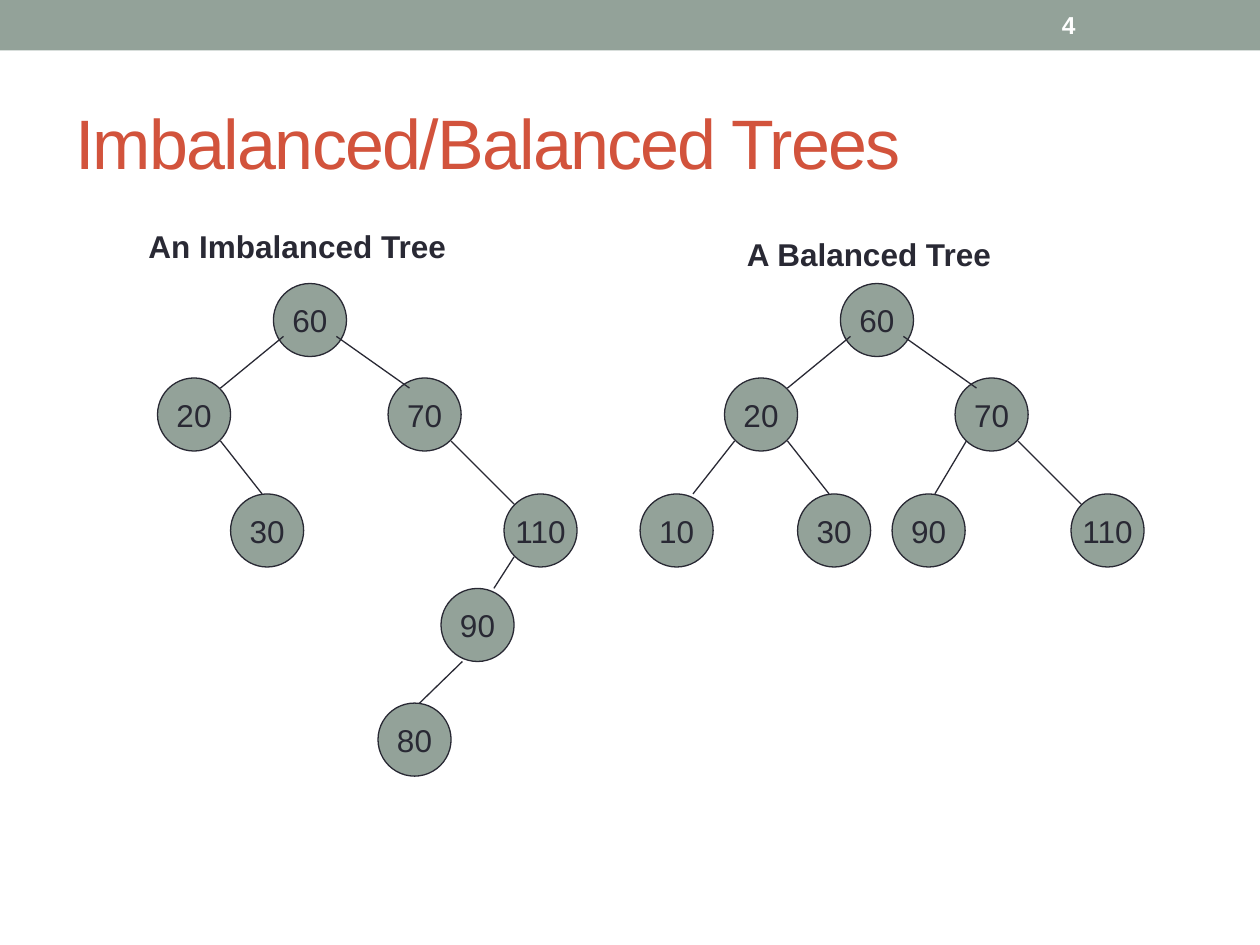
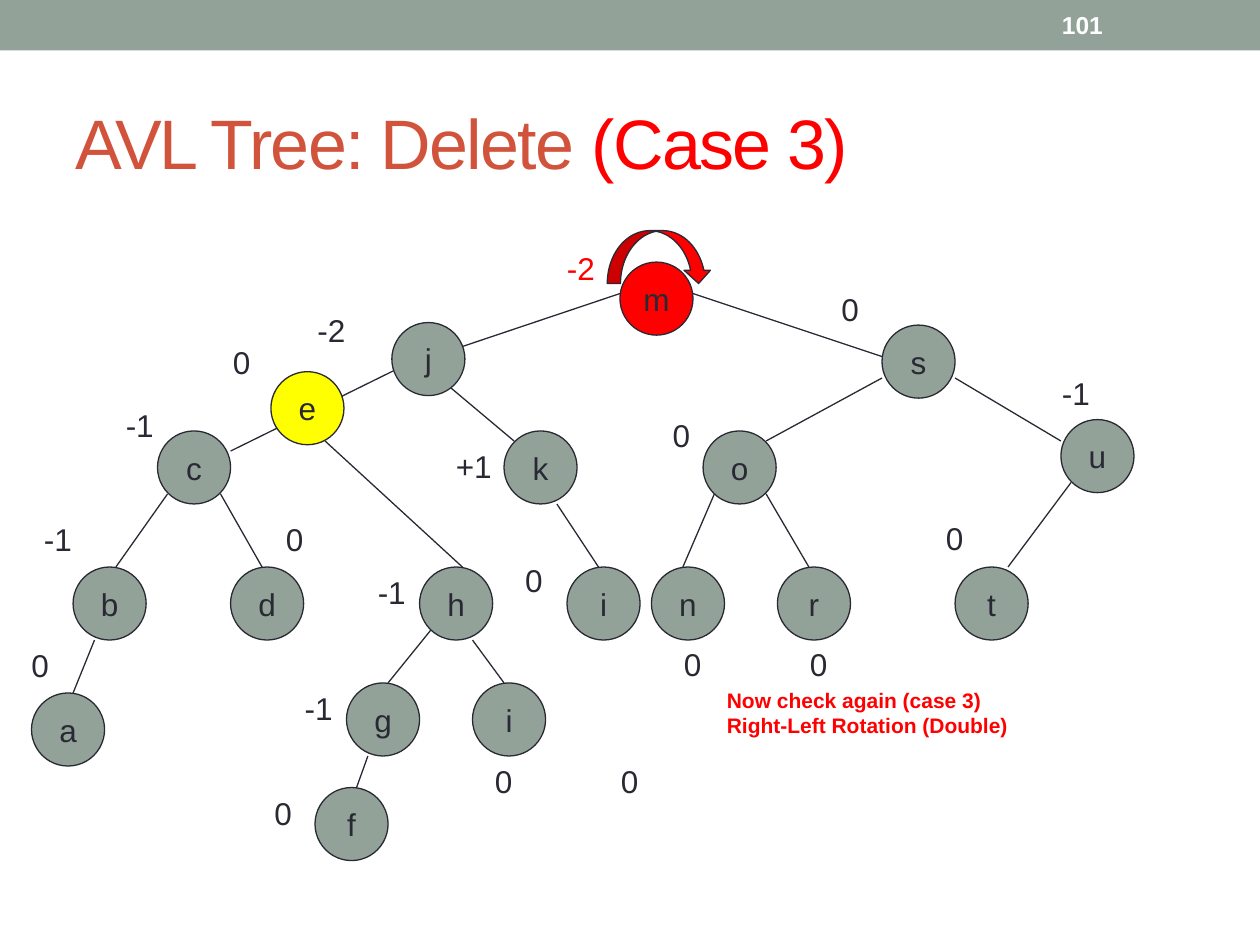
from dataclasses import dataclass

from lxml.etree import SubElement
from pptx import Presentation
from pptx.dml.color import RGBColor
from pptx.enum.shapes import MSO_CONNECTOR as Line, MSO_SHAPE as Shape
from pptx.enum.text import MSO_ANCHOR as Anchor, PP_ALIGN as Align
from pptx.oxml.ns import qn
from pptx.util import Inches, Pt


@dataclass(frozen=True)
class Theme:
    font: str = "Arial"
    sage: str = "93A299"
    ink: str = "292934"
    rust: str = "D2533C"
    white: str = "FFFFFF"
    red: str = "FF0000"
    yellow: str = "FFFF00"
    title_size: int = 40
    body_size: int = 18
    number_size: int = 14
    note_size: int = 12
    title_spacing: int = -100
    line_width: float = 0.75
    node_size: float = 0.58


THEME = Theme()
LABEL_WIDTHS = {"0": 0.34, "-1": 0.43, "-2": 0.51, "+1": 0.56}


class Deck:
    def __init__(self, theme):
        self.theme = theme
        self.prs = Presentation()
        self.prs.slide_width = Inches(10)
        self.prs.slide_height = Inches(7.5)
        self.slide = None

    def new_slide(self, number, *title_runs):
        t = self.theme
        self.slide = self.prs.slides.add_slide(self.prs.slide_layouts[6])
        self.shape(Shape.RECTANGLE, 0, 0, 10, 0.4, t.sage, outlined=False)
        title = self.text("", 0.5, 0.58, 9, 1.08, anchor=Anchor.MIDDLE, wrap=True)
        p = title.text_frame.paragraphs[0]
        for text, color in title_runs:
            r = p.add_run()
            r.text = text
            self.style(r, t.title_size, color)
            r.font._element.set("spc", str(t.title_spacing))
        self.text(number, 8.33, 0.02, 1.17, 0.36, t.number_size, t.white,
                  bold=True, anchor=Anchor.MIDDLE, wrap=True)

    def style(self, r, size, color, bold=False):
        r.font.name = self.theme.font
        r.font.size = Pt(size)
        r.font.bold = bold
        r.font.color.rgb = RGBColor.from_string(color)

    def outline(self, line):
        line.color.rgb = RGBColor.from_string(self.theme.ink)
        line.width = Pt(self.theme.line_width)

    def fill_text(self, tf, text, size, color, bold=False, align=Align.LEFT):
        tf.text = text
        for p in tf.paragraphs:
            p.alignment = align
            for r in p.runs:
                self.style(r, size, color, bold)

    def text(self, text, x, y, w, h, size=THEME.body_size, color=THEME.ink,
             bold=False, anchor=Anchor.TOP, wrap=False):
        sp = self.slide.shapes.add_textbox(Inches(x), Inches(y), Inches(w), Inches(h))
        tf = sp.text_frame
        tf.word_wrap = wrap
        tf.vertical_anchor = anchor
        self.fill_text(tf, text, size, color, bold)
        return sp

    def shape(self, kind, x, y, w, h, fill, outlined=True):
        sp = self.slide.shapes.add_shape(kind, Inches(x), Inches(y), Inches(w), Inches(h))
        sp.shadow.inherit = False
        sp.fill.solid()
        sp.fill.fore_color.rgb = RGBColor.from_string(fill)
        if outlined:
            self.outline(sp.line)
        else:
            sp.line.fill.background()
        return sp

    def node(self, key, x, y, fill=THEME.sage):
        size = self.theme.node_size
        sp = self.shape(Shape.OVAL, x, y, size, size, fill)
        tf = sp.text_frame
        tf.word_wrap = False
        tf.vertical_anchor = Anchor.MIDDLE
        self.fill_text(tf, key, self.theme.body_size, self.theme.ink, align=Align.CENTER)

    def edge(self, x1, y1, x2, y2):
        cx = self.slide.shapes.add_connector(
            Line.STRAIGHT, Inches(x1), Inches(y1), Inches(x2), Inches(y2))
        self.outline(cx.line)
        SubElement(cx._element.spPr, qn("a:effectLst"))

    def tree(self, nodes, edges, dx=0):
        for key, x, y, *fill in nodes:
            self.node(key, x + dx, y, *fill)
        for x1, y1, x2, y2 in edges:
            self.edge(x1 + dx, y1, x2 + dx, y2)

    def balance(self, value, x, y, color=THEME.ink):
        self.text(value, x, y, LABEL_WIDTHS[value], 0.4, color=color)


def balance_slide(deck):
    deck.new_slide("4", ("Imbalanced/Balanced Trees", THEME.rust))
    shared_nodes = [("60", 2.17, 2.25), ("20", 1.25, 3), ("70", 3.08, 3),
                    ("30", 1.83, 3.92), ("110", 4, 3.92)]
    shared_edges = [(2.25, 2.67, 1.75, 3.08), (2.67, 2.67, 3.25, 3.08),
                    (1.75, 3.5, 2.08, 3.92), (3.58, 3.5, 4.08, 4)]
    deck.tree(shared_nodes + [("90", 3.5, 4.67), ("80", 3, 5.58)],
              shared_edges + [(4.08, 4.42, 3.92, 4.67), (3.67, 5.25, 3.33, 5.58)])
    deck.tree(shared_nodes + [("10", 0.58, 3.92), ("90", 2.58, 3.92)],
              shared_edges + [(1.33, 3.5, 1, 3.92), (3.17, 3.5, 2.92, 3.92)], dx=4.5)
    deck.text("An Imbalanced Tree", 1.08, 1.75, 2.68, 0.4, bold=True, wrap=True)
    deck.text("A Balanced Tree", 5.83, 1.82, 2.19, 0.43, bold=True)


def delete_slide(deck):
    deck.new_slide("101", ("AVL Tree: Delete ", THEME.rust), ("(Case 3)", THEME.red))
    deck.shape(Shape.CURVED_DOWN_ARROW, 4.82, 1.83, 0.83, 0.42, THEME.red)
    deck.edge(3.17, 2.92, 1.83, 3.58)

    leaf_row = 4.5
    nodes = [("m", 4.92, 2.08, THEME.red), ("j", 3.11, 2.56), ("s", 7, 2.58),
             ("e", 2.15, 2.95, THEME.yellow), ("c", 1.25, 3.42), ("k", 4, 3.42),
             ("o", 5.58, 3.42), ("u", 8.42, 3.33),
             ("a", 0.25, 5.5), ("g", 2.75, 5.42), ("i", 3.75, 5.42), ("f", 2.5, 6.25)]
    nodes += [(key, x, leaf_row) for key, x in zip(
        "bdhinrt", (0.58, 1.83, 3.33, 4.5, 5.17, 6.17, 7.58))]
    edges = [(4.92, 2.33, 3.67, 2.75), (5.5, 2.33, 7, 2.83), (3.58, 3.08, 4.08, 3.5),
             (7, 3, 6.08, 3.5), (7.58, 3, 8.42, 3.5),
             (3.42, 5, 3.08, 5.42), (2.92, 6, 2.83, 6.25),
             (0.75, 5.08, 0.58, 5.5), (3.75, 5.08, 4, 5.42)]
    edges += [(x1, y1, x2, leaf_row) for x1, y1, x2 in (
        (1.33, 3.92, 0.92), (1.75, 3.92, 2.08), (2.58, 3.5, 3.67), (4.42, 4, 4.75),
        (5.67, 3.92, 5.42), (6.08, 3.92, 6.42), (8.5, 3.83, 8))]
    deck.tree(nodes, edges)

    deck.balance("-2", 4.4, 1.93, THEME.red)
    balances = {
        "-2": [(2.42, 2.42)],
        "-1": [(0.9, 3.17), (0.25, 4.08), (2.9, 4.5), (2.32, 5.42), (8.33, 2.92)],
        "+1": [(3.52, 3.5)],
        "0": [(1.75, 2.67), (0.15, 5.08), (2.17, 4.08), (2.08, 6.25), (3.83, 6),
              (4.83, 6), (4.07, 4.4), (6.58, 2.25), (5.24, 3.25), (7.41, 4.07),
              (6.33, 5.07), (5.33, 5.07)],
    }
    for value, places in balances.items():
        for x, y in places:
            deck.balance(value, x, y)
    deck.text("Now check again (case 3)\nRight-Left Rotation (Double)",
              5.67, 5.41, 2.52, 0.5, THEME.note_size, THEME.red, bold=True)


def main():
    deck = Deck(THEME)
    balance_slide(deck)
    delete_slide(deck)
    deck.prs.save("out.pptx")


if __name__ == "__main__":
    main()
